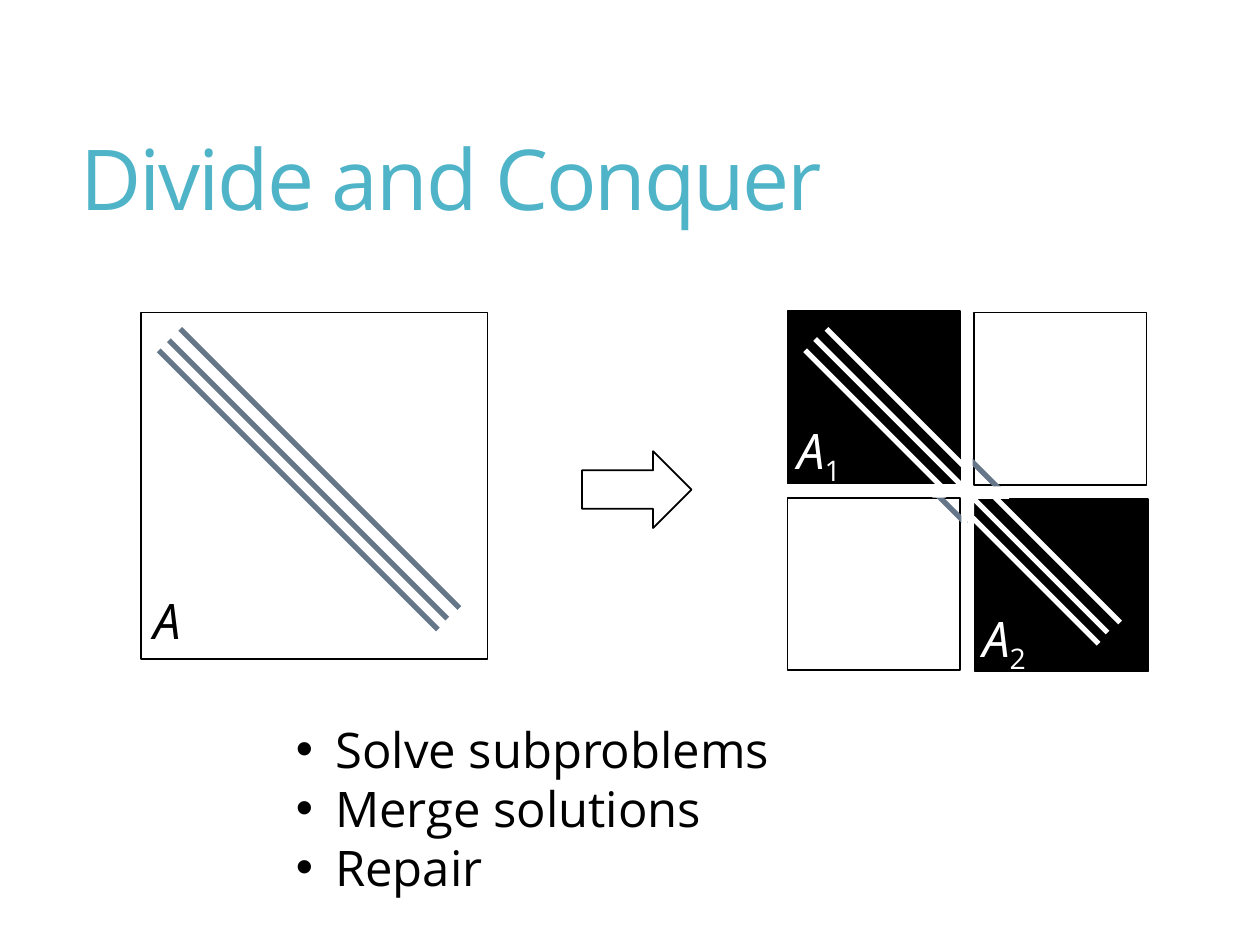
from dataclasses import dataclass

from lxml.etree import SubElement
from pptx import Presentation
from pptx.dml.color import RGBColor
from pptx.enum.shapes import MSO_CONNECTOR, MSO_SHAPE
from pptx.enum.text import MSO_ANCHOR, MSO_AUTO_SIZE
from pptx.oxml.ns import qn
from pptx.util import Pt

FONT = "Open Sans"
HUES = {"black": "000000", "white": "FFFFFF", "slate": "657689", "teal": "50B4C8"}
SIDE = 98.6


@dataclass(frozen=True)
class Band:
    x: float
    y: float
    span: float


@dataclass(frozen=True)
class Box:
    x: float
    y: float
    w: float
    h: float


@dataclass(frozen=True)
class Block:
    box: Box
    fill: str
    ink: str
    bands: tuple[Band, ...]
    masks: tuple[Box, ...] = ()


@dataclass(frozen=True)
class Label:
    box: Box
    hue: str
    sub: str = ""


SPLIT = (
    Block(Box(450, 177.8, SIDE, SIDE), "black", "white",
          (Band(472.3, 187.9, 79.2), Band(465.8, 193.7, 85.7), Band(460.1, 200.2, 79.5)),
          (Box(532.8, 277.2, 20.9, 3.6), Box(549.4, 262.1, 4.3, 18))),
    Block(Box(450, 284.4, SIDE, SIDE), "white", "slate",
          (Band(535, 282.2, 17.3),),
          (Box(549.4, 284.4, 3.6, 18), Box(532.8, 280.8, 7.9, 3.6))),
    Block(Box(557.3, 285.1, SIDE, SIDE), "black", "white",
          (Band(567.4, 283, 72.7), Band(554.4, 283, 78.5), Band(555.8, 295.9, 72)),
          (Box(553, 281.5, 3.6, 18), Box(555.1, 281.5, 21.6, 3.6))),
    Block(Box(556.6, 178.6, SIDE, SIDE), "white", "slate",
          (Band(554.4, 262.8, 17.3),),
          (Box(552.2, 260.6, 3.6, 18), Box(559.4, 277.9, 14.4, 3.6))),
)
WHOLE = (
    Block(Box(80.6, 178.6, 198, 198), "white", "slate",
          (Band(96.5, 194.4, 159.1), Band(103, 187.9, 159.5), Band(90.7, 200.2, 159.5))),
)
LABELS = (
    Label(Box(80.6, 334.1, 30.2, 41), "black"),
    Label(Box(448.6, 236.9, 41, 41), "white", "1"),
    Label(Box(554.4, 344.2, 41, 41), "white", "2"),
)
STEPS = ("Solve subproblems", "Merge solutions", "Repair")


def tint(name: str) -> RGBColor:
    return RGBColor.from_string(HUES[name])


def add_form(shapes, kind: MSO_SHAPE, box: Box, fill: str, edge: str = "") -> None:
    form = shapes.add_shape(kind, Pt(box.x), Pt(box.y), Pt(box.w), Pt(box.h))
    form.shadow.inherit = False
    form.fill.solid()
    form.fill.fore_color.rgb = tint(fill)
    if edge:
        form.line.color.rgb = tint(edge)
        form.line.width = Pt(1)
    else:
        form.line.fill.background()


def add_band(shapes, band: Band, hue: str) -> None:
    line = shapes.add_connector(MSO_CONNECTOR.STRAIGHT, Pt(band.x), Pt(band.y),
                                Pt(band.x + band.span), Pt(band.y + band.span))
    line.line.color.rgb = tint(hue)
    line.line.width = Pt(3)
    SubElement(line._element.spPr, qn("a:effectLst"))


def add_group(shapes, blocks: tuple[Block, ...]) -> None:
    group = shapes.add_group_shape().shapes
    for block in blocks:
        add_form(group, MSO_SHAPE.RECTANGLE, block.box, block.fill, "black")
        for band in block.bands:
            add_band(group, band, block.ink)
        for mask in block.masks:
            add_form(group, MSO_SHAPE.RECTANGLE, mask, "white")


def add_frame(shapes, box: Box, wrap: bool = False):
    frame = shapes.add_textbox(Pt(box.x), Pt(box.y), Pt(box.w), Pt(box.h)).text_frame
    frame.word_wrap = wrap
    frame.auto_size = MSO_AUTO_SIZE.NONE if wrap else MSO_AUTO_SIZE.SHAPE_TO_FIT_TEXT
    return frame


def add_run(para, text: str, hue: str, size: float = 28, slant: bool = False):
    run = para.add_run()
    run.text = text
    run.font.name = FONT
    run.font.size = Pt(size)
    run.font.italic = slant
    run.font.color.rgb = tint(hue)
    return run._r.get_or_add_rPr()


def add_label(shapes, label: Label) -> None:
    para = add_frame(shapes, label.box).paragraphs[0]
    add_run(para, "A", label.hue, slant=True)
    if label.sub:
        add_run(para, label.sub, label.hue).set("baseline", "-25000")


def add_list(shapes, box: Box, items: tuple[str, ...]) -> None:
    frame = add_frame(shapes, box)
    for rank, item in enumerate(items):
        para = frame.add_paragraph() if rank else frame.paragraphs[0]
        props = para._p.get_or_add_pPr()
        props.set("marL", str(Pt(22.5)))
        props.set("indent", str(-Pt(22.5)))
        SubElement(props, qn("a:buFont"), typeface="Arial")
        SubElement(props, qn("a:buChar"), char="•")
        add_run(para, item, "black")


def add_title(shapes, box: Box, text: str) -> None:
    frame = add_frame(shapes, box, wrap=True)
    frame.vertical_anchor = MSO_ANCHOR.MIDDLE
    para = frame.paragraphs[0]
    para.line_spacing = 0.9
    add_run(para, text, "teal", 48).set("spc", "-120")


deck = Presentation()
deck.slide_width, deck.slide_height = Pt(720), Pt(540)
shapes = deck.slides.add_slide(deck.slide_layouts[6]).shapes

add_group(shapes, SPLIT)
add_list(shapes, Box(162, 407.5, 288, 108.7), STEPS)
add_title(shapes, Box(38.9, 39.6, 636.5, 130.3), "Divide and Conquer")
add_group(shapes, WHOLE)
add_form(shapes, MSO_SHAPE.RIGHT_ARROW, Box(332.6, 257.8, 62.6, 43.9), "white", "black")
for label in LABELS:
    add_label(shapes, label)

deck.save("out.pptx")
